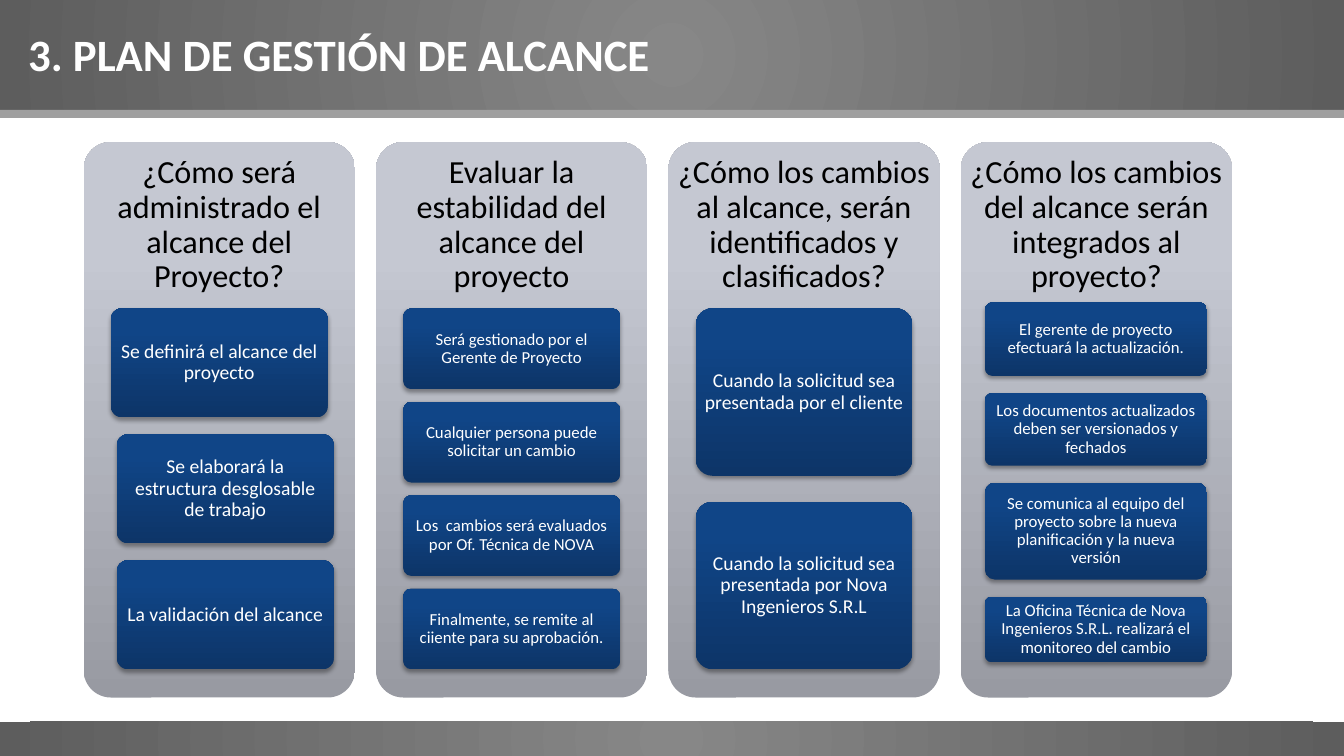
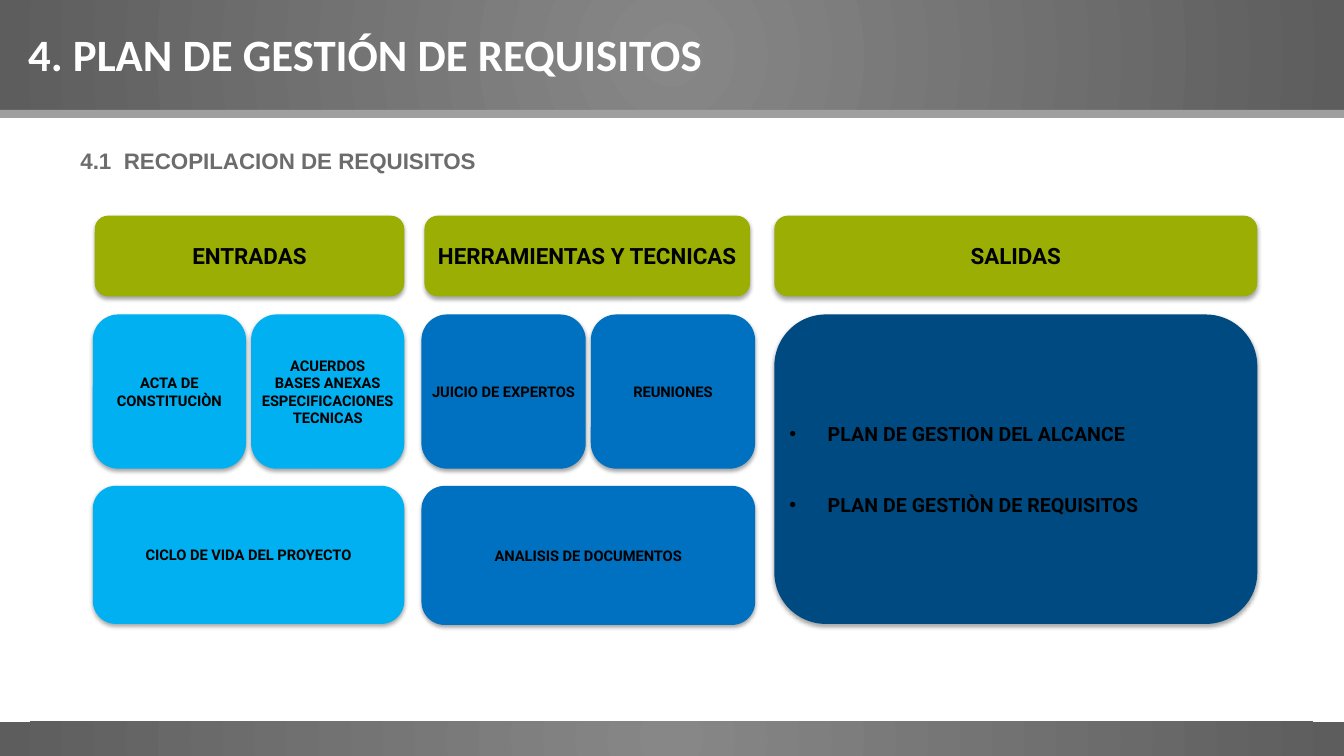
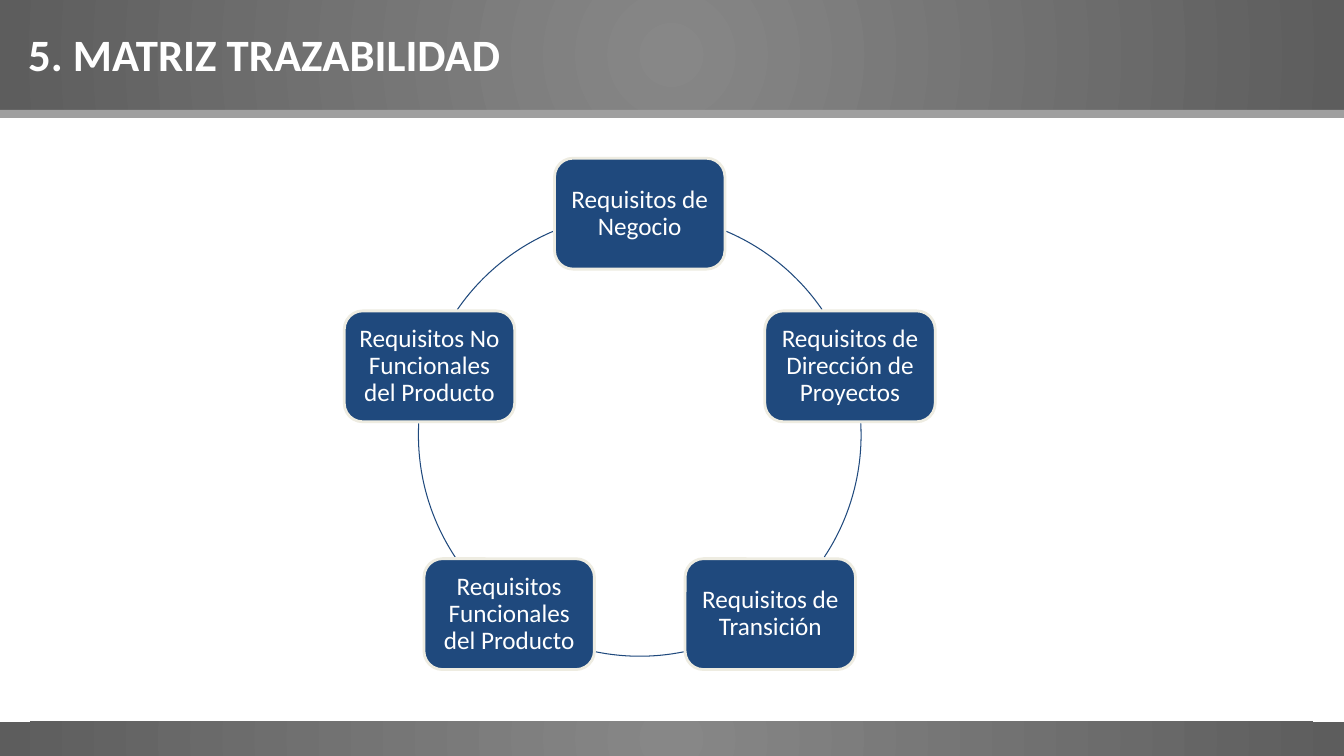
from lxml.etree import SubElement
from pptx import Presentation
from pptx.dml.color import RGBColor
from pptx.enum.shapes import MSO_SHAPE
from pptx.enum.text import MSO_ANCHOR, PP_ALIGN
from pptx.oxml import parse_xml
from pptx.oxml.ns import nsdecls, qn
from pptx.util import Inches, Pt

WHITE, BLACK, NAVY = "FFFFFF", "000000", "1F497D"
BAND_GRADIENT = [(0, "878787"), (100, "5D5D5D")]
PANEL_GRADIENT = [(0, "989AA2"), (80, "C5C8D2"), (100, "C5C9D3")]
CARD_GRADIENT = [(0, "0D3568"), (80, "104587"), (100, "0E458A")]
GREEN, SKY, BLUE, DEEP_BLUE = "9AAE04", "00B0F0", "0070C0", "004A82"

CARD_GAP = 0.156  # share of the mean card height

SCOPE_COLUMNS = [
    dict(heading="¿Cómo será administrado el alcance del Proyecto?", size=14,
         indents=[0.27, 0.33, 0.33], card_inset=0.04,
         cards=["Se definirá el alcance del proyecto",
                "Se elaborará la estructura desglosable de trabajo",
                "La validación del alcance"]),
    dict(heading="Evaluar la estabilidad del alcance del proyecto", size=12,
         cards=["Será gestionado por el Gerente de Proyecto",
                "Cualquier persona puede solicitar un cambio",
                "Los  cambios será evaluados por Of. Técnica de NOVA",
                "Finalmente, se remite al ciiente para su aprobación."]),
    dict(heading="¿Cómo los cambios al alcance, serán identificados y clasificados?",
         size=14,
         cards=["Cuando la solicitud sea presentada por el cliente",
                "Cuando la solicitud sea presentada por Nova Ingenieros S.R.L"]),
    dict(heading="¿Cómo los cambios del alcance serán integrados al proyecto?",
         size=12, indents=[0.24] * 4, card_width=2.2, first_top=1.59,
         heights=[0.73, 0.72, 0.96, 0.65],
         cards=["El gerente de proyecto efectuará la actualización.",
                "Los documentos actualizados deben ser versionados y fechados",
                "Se comunica al equipo del proyecto sobre la nueva planificación "
                "y la nueva versión",
                "La Oficina Técnica de Nova Ingenieros S.R.L. realizará el "
                "monitoreo del cambio"]),
]

REQUIREMENT_TYPES = [
    "Requisitos de Negocio", "Requisitos de Dirección de Proyectos",
    "Requisitos de Transición", "Requisitos Funcionales del Producto",
    "Requisitos No Funcionales del Producto"]
# Visible parts of the ring, in degrees clockwise from the top
RING_ARCS = [(23, 55.5), (87, 123.5), (168.5, 191.5), (236.5, 273), (304.5, 337)]


def rgb(color):
    return RGBColor.from_string(color)


def inches(box):
    return [Inches(length) for length in box]


def fill_gradient(shape, stops, direction):
    stop_xml = "".join(
        f'<a:gs pos="{pos * 1000}"><a:srgbClr val="{color}"/></a:gs>'
        for pos, color in stops)
    gradient = parse_xml(f'<a:gradFill rotWithShape="1" {nsdecls("a")}>'
                         f'<a:gsLst>{stop_xml}</a:gsLst>{direction}</a:gradFill>')
    shape.fill.background()
    properties = shape.element.spPr
    properties.replace(properties.find(qn("a:noFill")), gradient)


def fill_upward(shape, stops):
    fill_gradient(shape, stops, '<a:lin ang="16200000" scaled="0"/>')


def fill_radial(shape, stops):
    fill_gradient(shape, stops, '<a:path path="circle"><a:fillToRect l="50000" '
                                't="50000" r="50000" b="50000"/></a:path>')


def add_plain(slide, kind, box, color=None):
    """Add a preset shape without line or shadow."""
    shape = slide.shapes.add_shape(kind, *inches(box))
    shape.shadow.inherit = False
    shape.line.fill.background()
    if color:
        shape.fill.solid()
        shape.fill.fore_color.rgb = rgb(color)
    return shape


def add_soft_shadow(shape):
    shape.shadow.inherit = False
    effects = shape.element.spPr.find(qn("a:effectLst"))
    effects.append(parse_xml(
        f'<a:outerShdw {nsdecls("a")} blurRad="{Pt(3.1)}" dist="{Pt(1.8)}" '
        'dir="5400000" rotWithShape="0"><a:srgbClr val="000000">'
        '<a:alpha val="35000"/></a:srgbClr></a:outerShdw>'))


def write(shape, lines, size, color, font="Calibri", bold=False, inset=0.0,
          spacing=None, align=PP_ALIGN.CENTER):
    frame = shape.text_frame
    frame.word_wrap = True
    frame.vertical_anchor = MSO_ANCHOR.MIDDLE
    frame.margin_left = frame.margin_right = Inches(inset)
    frame.margin_top = frame.margin_bottom = Inches(inset)
    frame.text = "\n".join(lines)
    for paragraph in frame.paragraphs:
        paragraph.alignment = align
        if spacing:
            paragraph.line_spacing = spacing
        paragraph.font.name = font
        paragraph.font.size = Pt(size)
        paragraph.font.bold = bold
        paragraph.font.color.rgb = rgb(color)


def prepare_layout(layout, slide):
    """Put the shared bands and the title place on the layout."""
    for placeholder in list(layout.placeholders):
        if placeholder.placeholder_format.idx:
            placeholder.element.getparent().remove(placeholder.element)
    title = layout.placeholders[0]
    title.left, title.top, title.width, title.height = inches((0.18, 0.21, 12.84, 0.64))
    header = add_plain(slide, MSO_SHAPE.RECTANGLE, (-0.01, -0.01, 13.34, 1.11))
    footer = add_plain(slide, MSO_SHAPE.RECTANGLE, (-0.02, 7.16, 13.36, 0.34))
    for band in (header, footer):
        fill_radial(band, BAND_GRADIENT)
    rule = add_plain(slide, MSO_SHAPE.RECTANGLE, (-0.01, 1.09, 13.34, 0.08), "9F9F9F")
    for position, band in enumerate((header, footer, rule), start=2):
        layout.shapes.element.insert(position, band.element)


def add_titled_slide(deck, layout, title):
    slide = deck.slides.add_slide(layout)
    write(slide.shapes.title, [title], 32, WHITE, bold=True, inset=0.1,
          align=PP_ALIGN.LEFT)
    return slide


def add_scope_column(slide, box, heading, size, cards, indents=None,
                     card_width=2.15, card_inset=0.03, first_top=1.65, heights=None):
    left, top, width, height = box
    panel = add_plain(slide, MSO_SHAPE.ROUNDED_RECTANGLE, box)
    panel.adjustments[0] = 0.1
    fill_upward(panel, PANEL_GRADIENT)
    heading_box = slide.shapes.add_textbox(*inches((left, top, width, 1.65)))
    write(heading_box, [heading], 23, BLACK, inset=0.07, spacing=0.9)

    count = len(cards)
    equal_height = 3.58 / (count + CARD_GAP * (count - 1))
    gap = 0.17 if heights else CARD_GAP * equal_height
    heights = heights or [equal_height] * count
    indents = indents or [0.27] * count
    card_top = top + first_top
    for text, indent, card_height in zip(cards, indents, heights):
        card = add_plain(slide, MSO_SHAPE.ROUNDED_RECTANGLE,
                         (left + indent, card_top, card_width, card_height))
        card.adjustments[0] = 0.1
        fill_upward(card, CARD_GRADIENT)
        add_soft_shadow(card)
        write(card, [text], size, WHITE, inset=card_inset, spacing=0.9)
        card_top += card_height + gap


def add_block(slide, box, color, lines, size=10.5):
    block = add_plain(slide, MSO_SHAPE.ROUNDED_RECTANGLE, box, color)
    add_soft_shadow(block)
    write(block, lines, size, BLACK, font="Roboto", bold=True)
    return block


def add_process_group(slide, box, color, pair, base):
    """Place two blocks side by side over one wide block."""
    left, top, width, height = box
    gap = 0.05
    half = (width - gap) / 2
    for index, lines in enumerate(pair):
        add_block(slide, (left + index * (half + gap), top, half, 1.53), color, lines)
    add_block(slide, (left, top + 1.7, width, height - 1.7), color, [base])


def add_outputs(slide, box, outputs):
    block = add_block(slide, box, DEEP_BLUE, outputs, 14)
    for index, paragraph in enumerate(block.text_frame.paragraphs):
        paragraph.alignment = PP_ALIGN.LEFT
        if index:
            paragraph.space_before = Pt(34)
        properties = paragraph._p.get_or_add_pPr()
        properties.set("marL", str(Inches(0.38)))
        properties.set("indent", str(Inches(-0.38)))
        SubElement(properties, qn("a:buFont")).set("typeface", "Arial")
        SubElement(properties, qn("a:buChar")).set("char", "•")


def add_requirements_process(slide):
    subtitle = slide.shapes.add_textbox(*inches((0.26, 1.41, 5, 0.37)))
    write(subtitle, ["4.1  RECOPILACION DE REQUISITOS"], 16, "6C6C6C",
          font="Arial", bold=True, inset=0.05)
    for left, width, heading in [(0.94, 3.07, "ENTRADAS"),
                                 (4.21, 3.23, "HERRAMIENTAS Y TECNICAS"),
                                 (7.68, 4.79, "SALIDAS")]:
        add_block(slide, (left, 2.14, width, 0.8), GREEN, [heading], 16)
    add_process_group(
        slide, (0.92, 3.12, 3.09, 3.07), SKY,
        [["ACTA DE CONSTITUCIÒN"],
         ["ACUERDOS", "BASES ANEXAS", "ESPECIFICACIONES TECNICAS"]],
        "CICLO DE VIDA DEL PROYECTO")
    add_process_group(
        slide, (4.18, 3.12, 3.31, 3.08), BLUE,
        [["JUICIO DE EXPERTOS"], ["REUNIONES"]], "ANALISIS DE DOCUMENTOS")
    add_outputs(slide, (7.68, 3.12, 4.79, 3.07),
                ["PLAN DE GESTION DEL ALCANCE", "PLAN DE GESTIÒN DE REQUISITOS"])


def add_requirements_ring(slide, box):
    left, top, diameter, _ = box
    for start, end in RING_ARCS:
        arc = add_plain(slide, MSO_SHAPE.ARC, box)
        arc.fill.background()
        arc.line.color.rgb = rgb(NAVY)
        arc.line.width = Pt(0.75)
        for index, angle in enumerate((start, end)):
            # Adjustments count 100000ths, arc angles 60000ths of a degree
            arc.adjustments[index] = (angle - 90) % 360 * 0.6

    radius = diameter / 2
    node_width, node_height = 1.69, 1.1
    # Sine and cosine of each multiple of 72 degrees
    directions = [(0, 1), (0.95, 0.31), (0.59, -0.81), (-0.59, -0.81), (-0.95, 0.31)]
    for text, (across, up) in zip(REQUIREMENT_TYPES, directions):
        node = add_plain(slide, MSO_SHAPE.ROUNDED_RECTANGLE,
                         (left + radius * (1 + across) - node_width / 2,
                          top + radius * (1 - up) - node_height / 2,
                          node_width, node_height), NAVY)
        node.line.color.rgb = rgb("EEECE1")
        node.line.width = Pt(2)
        write(node, [text], 18, WHITE, inset=0.07, spacing=0.9)


def main():
    deck = Presentation()
    deck.slide_width, deck.slide_height = Inches(13.33), Inches(7.5)
    layout = deck.slide_layouts[5]
    scope, requirements, traceability = [
        add_titled_slide(deck, layout, title)
        for title in ("3. PLAN DE GESTIÓN DE ALCANCE",
                      "4. PLAN DE GESTIÓN DE REQUISITOS",
                      "5. MATRIZ TRAZABILIDAD")]
    prepare_layout(layout, scope)
    for index, column in enumerate(SCOPE_COLUMNS):
        add_scope_column(scope, (0.83 + 2.9 * index, 1.41, 2.69, 5.51), **column)
    add_requirements_process(requirements)
    add_requirements_ring(traceability, (4.15, 2.12, 4.39, 4.39))
    deck.save("out.pptx")


if __name__ == "__main__":
    main()
